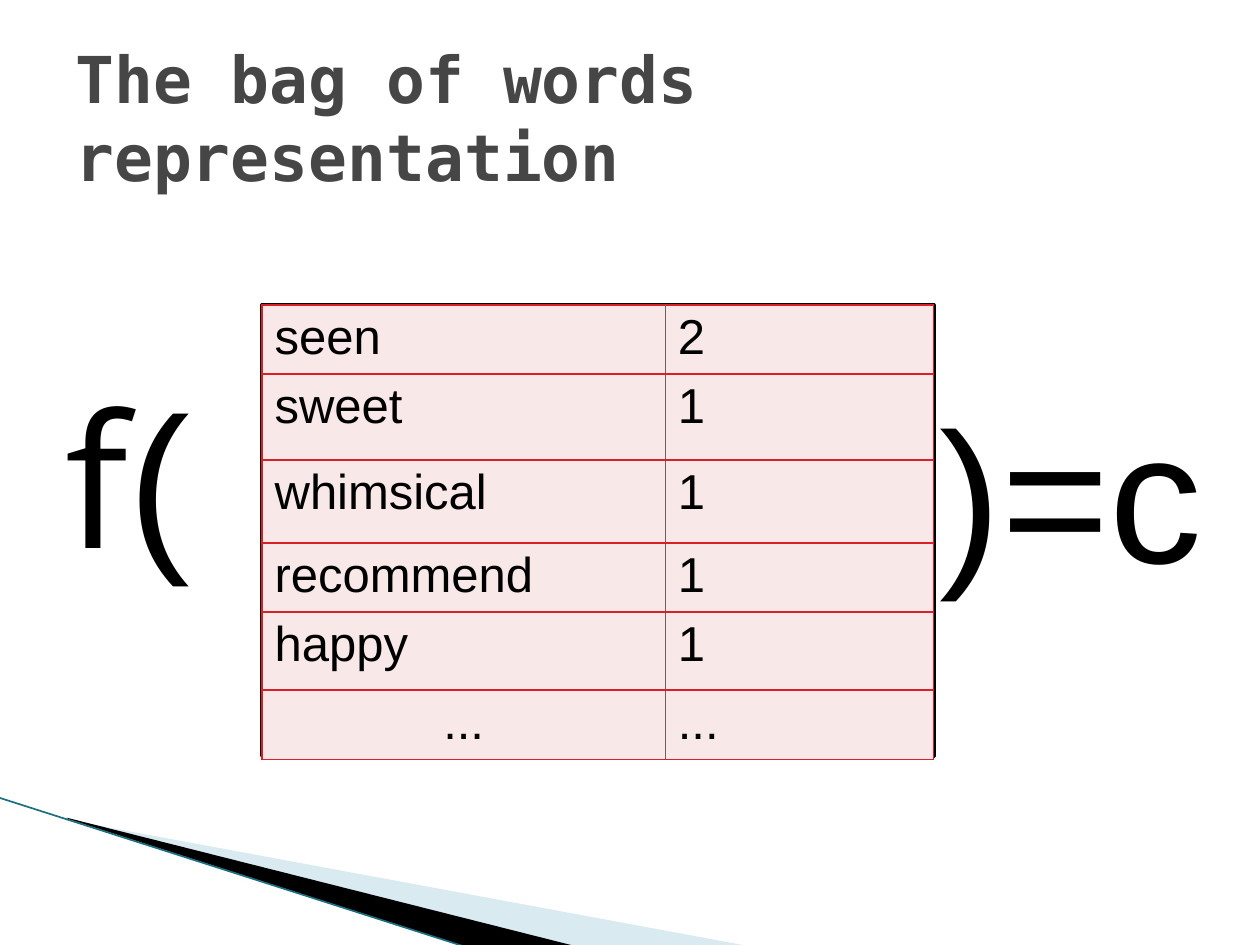
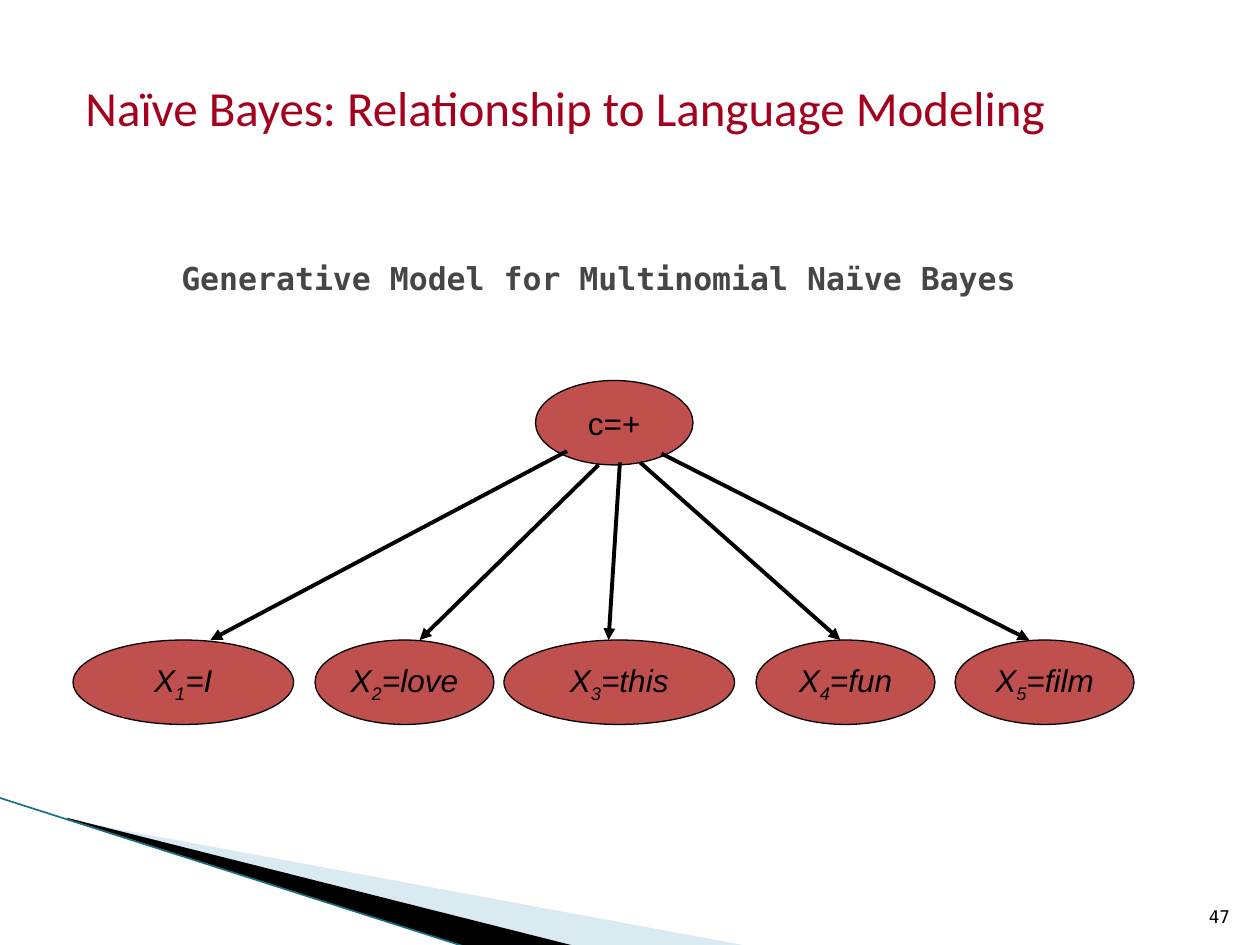
from lxml import etree
from pptx import Presentation
from pptx.dml.color import RGBColor
from pptx.enum.shapes import MSO_CONNECTOR, MSO_SHAPE
from pptx.enum.text import MSO_ANCHOR, PP_ALIGN
from pptx.oxml.ns import qn
from pptx.util import Inches, Pt

STRAIGHT = MSO_CONNECTOR.STRAIGHT
RECTANGLE, OVAL = MSO_SHAPE.RECTANGLE, MSO_SHAPE.OVAL
TOP, MIDDLE, BOTTOM = MSO_ANCHOR.TOP, MSO_ANCHOR.MIDDLE, MSO_ANCHOR.BOTTOM
LEFT, CENTER, RIGHT = PP_ALIGN.LEFT, PP_ALIGN.CENTER, PP_ALIGN.RIGHT

BLACK = RGBColor(0x00, 0x00, 0x00)
TITLE_GRAY = RGBColor(0x46, 0x46, 0x46)
HEADING_RED = RGBColor(0xA4, 0x00, 0x1D)
NODE_RED = RGBColor(0xC0, 0x50, 0x4D)
PALE_BLUE = RGBColor(0xA0, 0xCB, 0xDC)
TEAL = RGBColor(0x1B, 0x6F, 0x80)
FRAME_PINK = RGBColor(0xD5, 0xA7, 0xB1)
CELL_PINK = RGBColor(0xF8, 0xE8, 0xE8)
BORDER_RED = RGBColor(0xDA, 0x1F, 0x28)
DIVIDER_GRAY = RGBColor(0x70, 0x60, 0x60)

MONO, SANS, HEADING, FORMULA = "DejaVu Sans Mono", "Arial", "Calibri", "Open Sans"

WORD_COUNTS = [("seen", "2"), ("sweet", "1"), ("whimsical", "1"),
               ("recommend", "1"), ("happy", "1"), ("...", "...")]
COLUMN_WIDTHS = [3.2, 2.13]
ROW_HEIGHTS = [0.55, 0.68, 0.66, 0.54, 0.62, 0.55]

NODE_TOP, NODE_HEIGHT = 5.08, 0.67
WORD_NODES = [
    ("I", 0.58, 1.75, (4.5, 3.58), 1.67),
    ("love", 2.5, 1.42, (4.75, 3.69), 3.33),
    ("this", 4, 1.83, (4.92, 3.67), 4.83),
    ("fun", 6, 1.42, (5.08, 3.67), 6.67),
    ("film", 7.58, 1.42, (5.25, 3.6), 8.17),
]


def add_run(p, text, size, font=SANS, color=BLACK, bold=False, italic=False):
    r = p.add_run()
    r.text = text
    r.font.name, r.font.size = font, Pt(size)
    r.font.bold, r.font.italic = bold, italic
    r.font.color.rgb = color
    return r


def add_text_box(s, box, align=LEFT, anchor=TOP, wrap=True):
    tf = s.shapes.add_textbox(*map(Inches, box)).text_frame
    tf.word_wrap = wrap
    tf.vertical_anchor = anchor
    p = tf.paragraphs[0]
    p.alignment = align
    return p


def add_title(s, text, box, size, align=LEFT):
    p = add_text_box(s, box, align, MIDDLE)
    add_run(p, text, size, MONO, TITLE_GRAY, bold=True)


def add_shape(s, kind, box, fill, line_width):
    sp = s.shapes.add_shape(kind, *map(Inches, box))
    sp.shadow.inherit = False
    sp.fill.solid()
    sp.fill.fore_color.rgb = fill
    sp.line.color.rgb = BLACK
    sp.line.width = Pt(line_width)
    return sp


def add_node(s, left, top, width):
    sp = add_shape(s, OVAL, (left, top, width, NODE_HEIGHT), NODE_RED, 0.75)
    tf = sp.text_frame
    tf.word_wrap = False
    tf.vertical_anchor = MIDDLE
    p = tf.paragraphs[0]
    p.alignment = CENTER
    return p


def add_line(s, start, end, color, width, arrow=False):
    cx = s.shapes.add_connector(STRAIGHT, *map(Inches, (*start, *end)))
    cx.line.color.rgb = color
    cx.line.width = Pt(width)
    if arrow:
        etree.SubElement(cx.line._get_or_add_ln(), qn("a:tailEnd"), type="triangle")
    etree.SubElement(cx._element.spPr, qn("a:effectLst"))


def add_wedge(s, points, fill, opacity=100):
    start, *rest = [tuple(map(Inches, point)) for point in points]
    fb = s.shapes.build_freeform(*start, scale=1.0)
    fb.add_line_segments(rest, close=True)
    sp = fb.convert_to_shape()
    sp.shadow.inherit = False
    sp.fill.solid()
    sp.fill.fore_color.rgb = fill
    sp.line.fill.background()
    if opacity < 100:
        clr = sp._element.spPr.find(".//" + qn("a:srgbClr"))
        etree.SubElement(clr, qn("a:alpha"), val=str(opacity * 1000))


def add_corner_band(s):
    add_wedge(s, [(0.55, 6.51), (5.95, 7.51), (4.56, 7.51), (0.55, 6.5)], PALE_BLUE, 40)
    add_wedge(s, [(0.53, 6.49), (4.57, 7.51), (3.72, 7.52), (0.54, 6.5)], BLACK)
    add_line(s, (-0.01, 6.33), (3.71, 7.52), TEAL, 0.95)


def set_cell_border(cell, side, color, width):
    ln = etree.SubElement(cell._tc.get_or_add_tcPr(), qn("a:" + side), w=str(Pt(width)))
    fill = etree.SubElement(ln, qn("a:solidFill"))
    etree.SubElement(fill, qn("a:srgbClr"), val=str(color))


def fill_cell(cell, text, column, align):
    cell.margin_left = cell.margin_right = Inches(0.1)
    cell.margin_top = cell.margin_bottom = Inches(0.04)
    p = cell.text_frame.paragraphs[0]
    p.alignment = align
    add_run(p, text, 28)
    divider = "lnR" if column == 0 else "lnL"
    for side in ("lnL", "lnR", "lnT", "lnB"):
        if side == divider:
            set_cell_border(cell, side, DIVIDER_GRAY, 0.5)
        else:
            set_cell_border(cell, side, BORDER_RED, 1)
    cell.fill.solid()
    cell.fill.fore_color.rgb = CELL_PINK


def add_word_table(s, left, top):
    size = (sum(COLUMN_WIDTHS), sum(ROW_HEIGHTS))
    table = s.shapes.add_table(len(WORD_COUNTS), 2, *map(Inches, (left, top, *size))).table
    table.first_row = table.horz_banding = False
    for column, width in zip(table.columns, COLUMN_WIDTHS):
        column.width = Inches(width)
    for i, values in enumerate(WORD_COUNTS):
        table.rows[i].height = Inches(ROW_HEIGHTS[i])
        for j, text in enumerate(values):
            align = CENTER if (text, j) == ("...", 0) else LEFT
            fill_cell(table.cell(i, j), text, j, align)


def add_slide(prs):
    s = prs.slides.add_slide(prs.slide_layouts[6])
    add_corner_band(s)
    return s


def build_bag_of_words(prs):
    s = add_slide(prs)
    add_title(s, "The bag of words representation", (0.5, 0.3, 9, 1.25), 36.9)
    add_shape(s, RECTANGLE, (2.08, 2.42, 5.33, 3.58), FRAME_PINK, 2.25)
    p = add_text_box(s, (0.42, 2.83, 1.58, 1.88))
    add_run(p, "f", 106, FORMULA)
    add_run(p, "(", 106)
    p = add_text_box(s, (7.36, 2.95, 2.39, 1.88), wrap=False)
    add_run(p, ")=c", 106)
    add_word_table(s, 2.08, 2.42)


def build_generative_model(prs):
    s = add_slide(prs)
    add_title(s, "Generative Model for Multinomial Naïve Bayes", (0.25, 1.58, 9, 1.25), 18, CENTER)
    p = add_text_box(s, (9.46, 7.01, 0.4, 0.4), RIGHT, BOTTOM)
    add_run(p, "47", 10, MONO)
    add_run(add_node(s, 4.25, 3.02, 1.25), "c=+", 18)
    for i, (word, left, width, start, tip) in enumerate(WORD_NODES, 1):
        p = add_node(s, left, NODE_TOP, width)
        add_run(p, "X", 18, italic=True)
        r = add_run(p, str(i), 18, italic=True)
        r.font._element.set("baseline", "-25000")
        add_run(p, "=" + word, 18, italic=True)
        add_line(s, start, (tip, NODE_TOP), BLACK, 2.25, arrow=True)
    p = add_text_box(s, (0.58, 0.57, 8.12, 0.57))
    add_run(p, "Naïve Bayes: Relationship to Language Modeling", 28, HEADING, HEADING_RED)


def main():
    prs = Presentation()
    prs.slide_width, prs.slide_height = Inches(10), Inches(7.5)
    build_bag_of_words(prs)
    build_generative_model(prs)
    prs.save("out.pptx")


if __name__ == "__main__":
    main()
